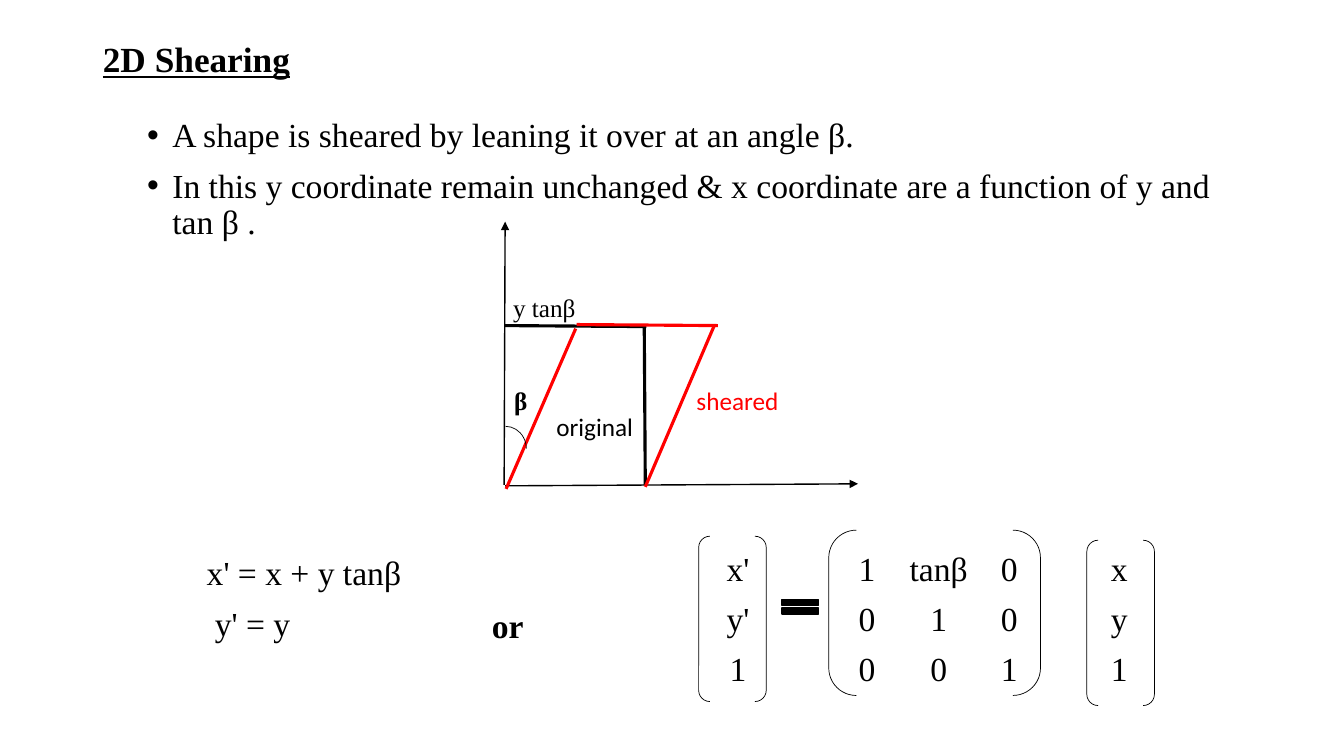
from lxml import etree
from pptx import Presentation
from pptx.dml.color import RGBColor
from pptx.enum.shapes import MSO_CONNECTOR, MSO_SHAPE
from pptx.enum.text import MSO_ANCHOR, MSO_AUTO_SIZE, PP_ALIGN
from pptx.oxml.ns import qn
from pptx.util import Inches, Pt

COLOURS = {"ink": "000000", "sheared": "FF0000"}
SERIF, SANS = "Times New Roman", "Calibri"

TITLE = "2D Shearing"
BULLETS = [
    "A shape is sheared by leaning it over at an angle β.",
    "In this y coordinate remain unchanged & x coordinate are a function of y and tan β .",
]
# text, indent in inches, space before in points
EQUATIONS = [
    ("x' = x + y tanβ", 0.59, 225),
    ("y' = y", 0.67, 10),
]
# centre of the column, entries from top to bottom
MATRIX_COLUMNS = [
    (7.32, ["x'", "y'", "1"]),
    (8.6, ["1", "0", "0"]),
    (9.31, ["tanβ", "1", "0"]),
    (10.01, ["0", "0", "1"]),
    (11.1, ["x", "y", "1"]),
]
MATRIX_TOP, COLUMN_WIDTH, COLUMN_HEIGHT = 5.43, 0.7, 1.6

# start, end, colour, width, arrowhead
LINES = [
    ((5, 4.81), (5.01, 2.2), "ink", 1, True),
    ((5.01, 4.82), (8.51, 4.8), "ink", 1, True),
    ((5, 3.23), (6.41, 3.24), "ink", 2.25, False),
    ((6.39, 3.23), (6.4, 4.81), "ink", 2.25, False),
    ((5.72, 3.22), (7.12, 3.23), "sheared", 2.25, False),
    ((5.71, 3.26), (5.02, 4.85), "sheared", 2.25, False),
    ((7.08, 3.24), (6.4, 4.83), "sheared", 2.25, False),
]
# text, frame, size, font, colour, bold
LABELS = [
    ("original", (5.42, 4.03, 0.97, 0.4), 18, SANS, "ink", False),
    ("sheared", (6.81, 3.77, 1.27, 0.4), 18, SANS, "sheared", False),
    ("β", (5, 3.77, 0.33, 0.4), 18, SERIF, "ink", True),
    ("y tanβ", (4.99, 2.85, 0.92, 0.4), 18, SERIF, "ink", False),
    ("or", (4.78, 5.95, 0.7, 0.47), 24, SERIF, "ink", True),
]
# preset, frame, line width, filled
SHAPES = [
    (MSO_SHAPE.ARC, (4.81, 4.23, 0.41, 0.44), 0.5, False),
    (MSO_SHAPE.DOUBLE_BRACKET, (6.93, 5.32, 0.67, 1.64), 0.5, False),
    (MSO_SHAPE.DOUBLE_BRACKET, (10.78, 5.36, 0.67, 1.64), 0.5, False),
    (MSO_SHAPE.DOUBLE_BRACKET, (8.22, 5.26, 2.1, 1.64), 0.5, False),
    (MSO_SHAPE.MATH_EQUAL, (7.69, 5.9, 0.49, 0.24), 1, True),
]


def colour(name):
    return RGBColor.from_string(COLOURS[name])


def inches(values):
    return [Inches(value) for value in values]


def place(shape, frame):
    shape.left, shape.top, shape.width, shape.height = inches(frame)


def add_span(para, text, size=24, font=SERIF, ink="ink", bold=False):
    span = para.add_run()
    span.text = text
    span.font.size = Pt(size)
    span.font.name = font
    span.font.bold = bold
    span.font.color.rgb = colour(ink)
    return span


def next_para(frame, space_before=10):
    """Return the first paragraph while it is empty, otherwise a new one."""
    first = frame.paragraphs[0]
    para = frame.add_paragraph() if first.runs else first
    para.line_spacing = 0.9
    para.space_before = Pt(space_before)
    return para


def set_indent(para, left, bullet=None):
    """Indent the paragraph, with a hanging bullet if one is given."""
    props = para._p.get_or_add_pPr()
    props.set("marL", str(Inches(left)))
    props.set("indent", str(Inches(-left if bullet else 0)))
    if bullet:
        etree.SubElement(props, qn("a:buChar")).set("char", bullet)
    else:
        etree.SubElement(props, qn("a:buNone"))


def add_text_box(page, frame):
    box = page.shapes.add_textbox(*inches(frame))
    box.text_frame.word_wrap = True
    return box.text_frame


def add_line(page, start, end, ink, width, arrow):
    line = page.shapes.add_connector(MSO_CONNECTOR.STRAIGHT, *inches(start + end))
    line.line.color.rgb = colour(ink)
    line.line.width = Pt(width)
    if arrow:
        etree.SubElement(line.line._get_or_add_ln(), qn("a:tailEnd")).set("type", "triangle")
    etree.SubElement(line._element.spPr, qn("a:effectLst"))


def add_outline(page, preset, frame, width, filled):
    shape = page.shapes.add_shape(preset, *inches(frame))
    shape.shadow.inherit = False
    shape.line.color.rgb = colour("ink")
    shape.line.width = Pt(width)
    if filled:
        shape.fill.solid()
        shape.fill.fore_color.rgb = colour("ink")
    else:
        shape.fill.background()


def add_matrix_column(page, centre, entries):
    left = centre - COLUMN_WIDTH / 2
    column = add_text_box(page, (left, MATRIX_TOP, COLUMN_WIDTH, COLUMN_HEIGHT))
    column.margin_left = column.margin_right = 0
    for entry in entries:
        para = next_para(column)
        para.alignment = PP_ALIGN.CENTER
        add_span(para, entry)


def fill_title(title):
    place(title, (0.92, 0.4, 11.5, 0.42))
    title.text_frame.vertical_anchor = MSO_ANCHOR.MIDDLE
    title.text_frame.auto_size = MSO_AUTO_SIZE.NONE
    para = title.text_frame.paragraphs[0]
    para.alignment = PP_ALIGN.LEFT
    para.line_spacing = 0.9
    add_span(para, TITLE, size=25.2, bold=True).font.underline = True


def fill_body(body):
    place(body, (1.36, 1.13, 11.5, 6.26))
    frame = body.text_frame
    frame.auto_size = MSO_AUTO_SIZE.NONE
    frame.margin_right = Inches(0.6)
    for text in BULLETS:
        para = next_para(frame)
        set_indent(para, 0.25, "•")
        add_span(para, text)
    for text, indent, space_before in EQUATIONS:
        para = next_para(frame, space_before)
        set_indent(para, indent)
        add_span(para, text)


def main():
    deck = Presentation()
    deck.slide_width, deck.slide_height = Inches(13.33), Inches(7.5)
    page = deck.slides.add_slide(deck.slide_layouts[1])
    fill_title(page.shapes.title)
    fill_body(page.placeholders[1])

    for line in LINES:
        add_line(page, *line)
    for text, frame, *style in LABELS:
        add_span(add_text_box(page, frame).paragraphs[0], text, *style)
    for centre, entries in MATRIX_COLUMNS:
        add_matrix_column(page, centre, entries)
    for shape in SHAPES:
        add_outline(page, *shape)
    deck.save("out.pptx")


if __name__ == "__main__":
    main()
